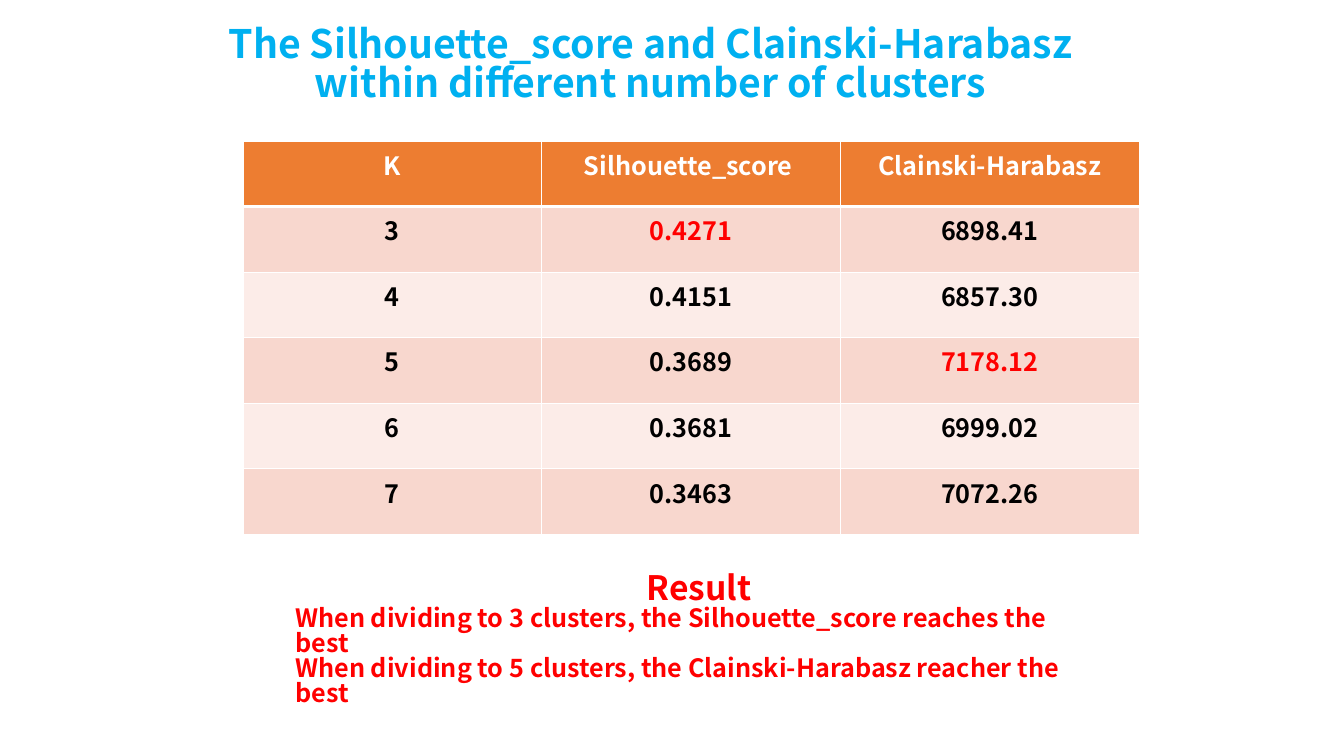
import pptx
import pptx.util
import pptx.oxml
from pptx.dml.color import RGBColor
from pptx.enum.text import PP_ALIGN, MSO_AUTO_SIZE, MSO_ANCHOR
from pptx.oxml.ns import qn
from pptx.util import Inches

FONT = "Noto Sans CJK SC"
COLORS = {
    "title": "00B0F0",
    "head": "ED7D31",
    "odd": "F8D7CE",
    "even": "FCECE8",
    "white": "FFFFFF",
    "black": "000000",
    "red": "FF0000",
}
TITLE = ("The Silhouette_score and Clainski-Harabasz "
         "within different number of clusters")
ROWS = [
    ("K", "Silhouette_score ", "Clainski-Harabasz"),
    ("3", "0.4271", "6898.41"),
    ("4", "0.4151", "6857.30"),
    ("5", "0.3689", "7178.12"),
    ("6", "0.3681", "6999.02"),
    ("7", "0.3463", "7072.26"),
]
BEST = {"0.4271", "7178.12"}
RESULT = [
    ("Result", 24, PP_ALIGN.CENTER),
    ("When dividing to 3 clusters, the Silhouette_score reaches the best",
     18, PP_ALIGN.LEFT),
    ("When dividing to 5 clusters, the Clainski-Harabasz reacher the best",
     18, PP_ALIGN.LEFT),
]


def rgb(name):
    return RGBColor.from_string(COLORS[name])


def add_run(para, text, size, color, align=PP_ALIGN.CENTER):
    para.alignment = align
    run = para.add_run()
    run.text = text
    font = run.font
    font.name, font.size, font.bold = FONT, pptx.util.Pt(size), True
    font.color.rgb = rgb(color)


def set_frame(frame):
    frame.word_wrap = True
    frame.auto_size = MSO_AUTO_SIZE.SHAPE_TO_FIT_TEXT
    frame.vertical_anchor = MSO_ANCHOR.TOP


def tighten(para):
    para.line_spacing = 0.83
    para.space_before = pptx.util.Pt(0)


def set_title(slide):
    title = slide.shapes.title
    title.left, title.top = Inches(2.07), Inches(0.22)
    title.width, title.height = Inches(8.76), Inches(1.04)
    set_frame(title.text_frame)
    para = title.text_frame.paragraphs[0]
    add_run(para, TITLE, 28, "title")
    tighten(para)


def set_edges(cell, bottom):
    """Draw white borders, with the bottom one of the given width."""
    props = cell._tc.get_or_add_tcPr()
    widths = {"lnL": 1, "lnR": 1, "lnT": 1, "lnB": bottom}
    for place, (tag, width) in enumerate(widths.items()):
        line = pptx.oxml.parse_xml(
            f'<a:{tag} xmlns:a="http://schemas.openxmlformats.org/drawingml/2006/main" '
            f'w="{pptx.util.Pt(width)}"><a:solidFill>'
            f'<a:srgbClr val="{COLORS["white"]}"/></a:solidFill></a:{tag}>')
        props.insert(place, line)


def add_scores(slide):
    frame = slide.shapes.add_table(
        len(ROWS), len(ROWS[0]), Inches(2.41), Inches(1.4),
        Inches(8.89), Inches(3.9))
    table = frame.table
    for r, row in enumerate(ROWS):
        fill = "head" if r == 0 else "odd" if r % 2 else "even"
        for c, text in enumerate(row):
            cell = table.cell(r, c)
            cell.fill.solid()
            cell.fill.fore_color.rgb = rgb(fill)
            color = "white" if r == 0 else "red" if text in BEST else "black"
            add_run(cell.text_frame.paragraphs[0], text, 18, color)
            set_edges(cell, 3 if r == 0 else 1)


def add_result(slide):
    box = slide.shapes.add_textbox(
        Inches(2.83), Inches(5.64), Inches(8.21), Inches(1.11))
    frame = box.text_frame
    set_frame(frame)
    for i, (text, size, align) in enumerate(RESULT):
        para = frame.add_paragraph() if i else frame.paragraphs[0]
        add_run(para, text, size, "red", align)
        tighten(para)


def main():
    deck = pptx.Presentation()
    deck.slide_width, deck.slide_height = Inches(13.33), Inches(7.5)
    slide = deck.slides.add_slide(deck.slide_layouts[5])
    add_scores(slide)
    set_title(slide)
    add_result(slide)
    deck.save("out.pptx")


if __name__ == "__main__":
    main()
